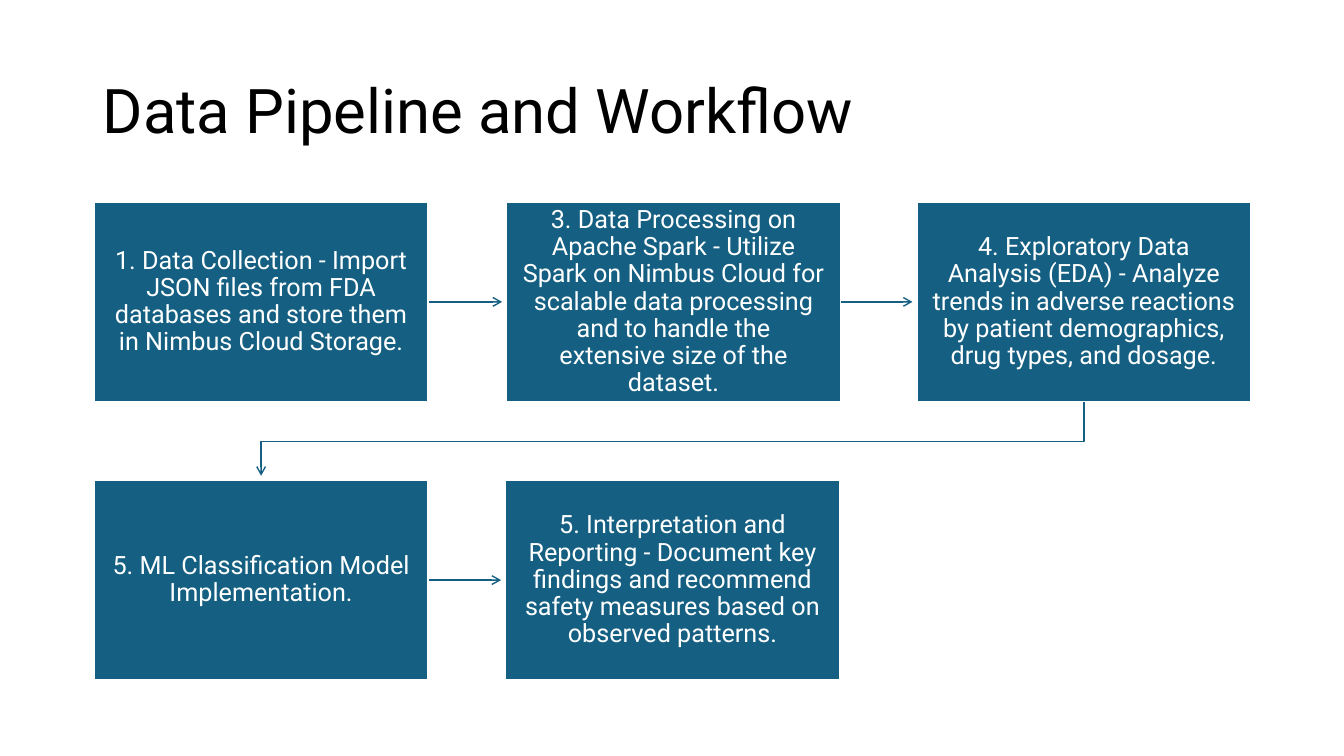
from pptx import Presentation
from pptx.dml.color import RGBColor
from pptx.enum.shapes import MSO_CONNECTOR as CONN, MSO_SHAPE as SHAPE
from pptx.enum.text import MSO_ANCHOR as ANCHOR, PP_ALIGN as ALIGN
from pptx.oxml.ns import qn
from pptx.util import Pt
from lxml.etree import SubElement

EMU_PER_PX = 9144
BLUE, WHITE, BLACK = "156082", "FFFFFF", "000000"
BOX_W, BOX_H = 332, 199
TOP, BOTTOM = 200, 476
GAP = 4

STEPS = [
    (93, TOP, "1. Data Collection - Import JSON files from FDA databases "
              "and store them in Nimbus Cloud Storage."),
    (502, TOP, "3. Data Processing on Apache Spark - Utilize Spark on Nimbus Cloud "
               "for scalable data processing and to handle the extensive size "
               "of the dataset."),
    (909, TOP, "4. Exploratory Data Analysis (EDA) - Analyze trends in adverse "
               "reactions by patient demographics, drug types, and dosage."),
    (93, BOTTOM, "5. ML Classification Model Implementation."),
    (501, BOTTOM, "5. Interpretation and Reporting - Document key findings and "
                  "recommend safety measures based on observed patterns."),
]


def px(n):
    return round(n * EMU_PER_PX)


def rgb(value):
    return RGBColor.from_string(value)


def write(tf, text, size=18, color=WHITE, align=ALIGN.CENTER, inset=(16, 17), font="Roboto"):
    """Fill a text frame with one formatted paragraph."""
    tf.word_wrap = True
    tf.vertical_anchor = ANCHOR.MIDDLE
    tf.margin_left = tf.margin_right = px(inset[0])
    tf.margin_top = tf.margin_bottom = px(inset[1])
    p = tf.paragraphs[0]
    p.alignment = align
    p.line_spacing = 0.9
    r = p.add_run()
    r.text = text
    r.font.name = font
    r.font.size = Pt(size)
    r.font.color.rgb = rgb(color)


class Deck:
    """Hold the presentation, its current slide and the flowchart style."""

    def __init__(self, width, height):
        self.prs = Presentation()
        self.prs.slide_width, self.prs.slide_height = px(width), px(height)
        self.s = self.prs.slides.add_slide(self.prs.slide_layouts[6])

    def title(self, x, y, w, h, text):
        """Add the slide heading."""
        sp = self.s.shapes.add_textbox(px(x), px(y), px(w), px(h))
        write(sp.text_frame, text, size=44, color=BLACK, align=ALIGN.LEFT, inset=(10, 5))

    def box(self, x, y, text):
        """Add one step of the workflow."""
        sp = self.s.shapes.add_shape(SHAPE.RECTANGLE, px(x), px(y), px(BOX_W), px(BOX_H))
        sp.shadow.inherit = False
        sp.fill.solid()
        sp.fill.fore_color.rgb = rgb(BLUE)
        sp.line.color.rgb = rgb(WHITE)
        sp.line.width = Pt(1.5)
        write(sp.text_frame, text)
        return sp

    def arrow_line(self, sp):
        """Give a line its colour, width and open arrowhead."""
        sp.line.color.rgb = rgb(BLUE)
        sp.line.width = Pt(1)
        SubElement(sp.line._get_or_add_ln(), qn("a:tailEnd"), type="arrow")

    def arrow(self, start, end):
        """Point from the right side of one box to just before the next."""
        y = start.top + start.height // 2
        sp = self.s.shapes.add_connector(
            CONN.STRAIGHT, start.left + start.width, y, end.left - px(GAP), y)
        sp.begin_connect(start, 3)
        self.arrow_line(sp)
        SubElement(sp._element.spPr, qn("a:effectLst"))

    def turn(self, start, end, mid_y):
        """Lead from under one box to just above a box in the next row."""
        x1, x2 = (b.left + b.width // 2 for b in (start, end))
        y = px(mid_y)
        fb = self.s.shapes.build_freeform(x1, start.top + start.height)
        fb.add_line_segments([(x1, y), (x2, y), (x2, end.top - px(GAP))], close=False)
        sp = fb.convert_to_shape()
        sp.shadow.inherit = False
        sp.fill.background()
        self.arrow_line(sp)


def main():
    deck = Deck(1333, 750)
    deck.title(92, 40, 1150, 145, "Data Pipeline and Workflow")
    collect, process, explore, model, report = [deck.box(*step) for step in STEPS]
    for start, end in [(collect, process), (process, explore), (model, report)]:
        deck.arrow(start, end)
    deck.turn(explore, model, 438)
    deck.prs.save("out.pptx")


if __name__ == "__main__":
    main()
